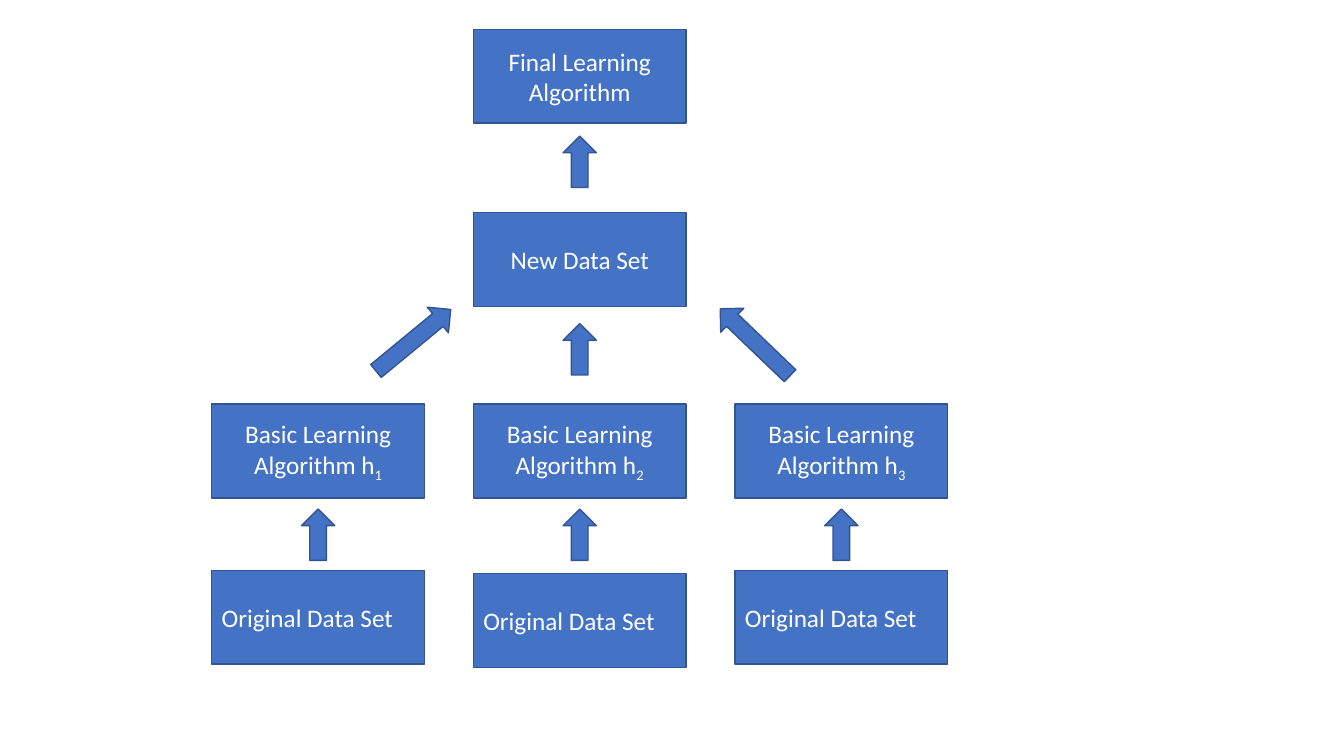
from dataclasses import dataclass

from pptx import Presentation
from pptx.dml.color import RGBColor
from pptx.enum.shapes import MSO_SHAPE
from pptx.enum.text import MSO_ANCHOR, PP_ALIGN
from pptx.util import Inches, Pt

RECTANGLE = MSO_SHAPE.RECTANGLE
RIGHT_ARROW = MSO_SHAPE.RIGHT_ARROW
LEFT, CENTER = PP_ALIGN.LEFT, PP_ALIGN.CENTER
MIDDLE = MSO_ANCHOR.MIDDLE


@dataclass(frozen=True)
class Theme:
    fill: RGBColor = RGBColor(0x44, 0x72, 0xC4)
    line: RGBColor = RGBColor(0x32, 0x54, 0x91)
    text: RGBColor = RGBColor(0xFF, 0xFF, 0xFF)
    font: str = "Calibri"
    text_size: int = 18
    line_width: int = 1


THEME = Theme()
SLIDE_WIDTH, SLIDE_HEIGHT = 13.33, 7.5
BOX_WIDTH, BOX_HEIGHT = 2.11, 0.93
ARROW_LENGTH, DIAGONAL_LENGTH, ARROW_THICKNESS = 0.51, 0.96, 0.33
FIRST_COLUMN, COLUMN_STEP = 3.155, 2.595
COLUMNS = [FIRST_COLUMN + index * COLUMN_STEP for index in range(3)]
MIDDLE_COLUMN = COLUMNS[1]
FINAL_ROW, NEW_DATA_ROW, ALGORITHM_ROW = 0.29, 2.11, 4.01
ORIGINAL_DATA_ROWS = [5.66, 5.69, 5.66]
UP = 270


def add_block(slide, kind, center, top, width, height, rotation=0):
    shape = slide.shapes.add_shape(
        kind, Inches(center - width / 2), Inches(top), Inches(width), Inches(height)
    )
    shape.rotation = rotation
    shape.shadow.inherit = False
    shape.fill.solid()
    shape.fill.fore_color.rgb = THEME.fill
    shape.line.color.rgb = THEME.line
    shape.line.width = Pt(THEME.line_width)
    return shape


def add_text(paragraph, text, size=THEME.text_size, color=THEME.text, baseline=None):
    run = paragraph.add_run()
    run.text = text
    run.font.name = THEME.font
    run.font.size = Pt(size)
    run.font.color.rgb = color
    if baseline is not None:
        run.font._element.set("baseline", str(baseline * 1000))


def add_box(slide, center, top, text, subscript="", alignment=CENTER):
    shape = add_block(slide, RECTANGLE, center, top, BOX_WIDTH, BOX_HEIGHT)
    frame = shape.text_frame
    frame.word_wrap = True
    frame.vertical_anchor = MIDDLE
    paragraph = frame.paragraphs[0]
    paragraph.alignment = alignment
    add_text(paragraph, text)
    if subscript:
        add_text(paragraph, subscript, baseline=-25)


def add_arrow(slide, center, top, length=ARROW_LENGTH, rotation=UP):
    add_block(slide, RIGHT_ARROW, center, top, length, ARROW_THICKNESS, rotation)


def main():
    presentation = Presentation()
    presentation.slide_width = Inches(SLIDE_WIDTH)
    presentation.slide_height = Inches(SLIDE_HEIGHT)
    slide = presentation.slides.add_slide(presentation.slide_layouts[6])

    for number, (center, data_row) in enumerate(zip(COLUMNS, ORIGINAL_DATA_ROWS), 1):
        add_box(slide, center, ALGORITHM_ROW, "Basic Learning Algorithm h", str(number))
        add_box(slide, center, data_row, "Original Data Set", alignment=LEFT)
        add_arrow(slide, center, 5.14)

    add_box(slide, MIDDLE_COLUMN, NEW_DATA_ROW, "New Data Set")
    add_box(slide, MIDDLE_COLUMN, FINAL_ROW, "Final Learning Algorithm")
    for top in (3.3, 1.44):
        add_arrow(slide, MIDDLE_COLUMN, top)
    add_arrow(slide, 4.1, 3.21, DIAGONAL_LENGTH, 320.5)
    add_arrow(slide, 7.49, 3.23, DIAGONAL_LENGTH, 223.8)

    presentation.save("out.pptx")


if __name__ == "__main__":
    main()
